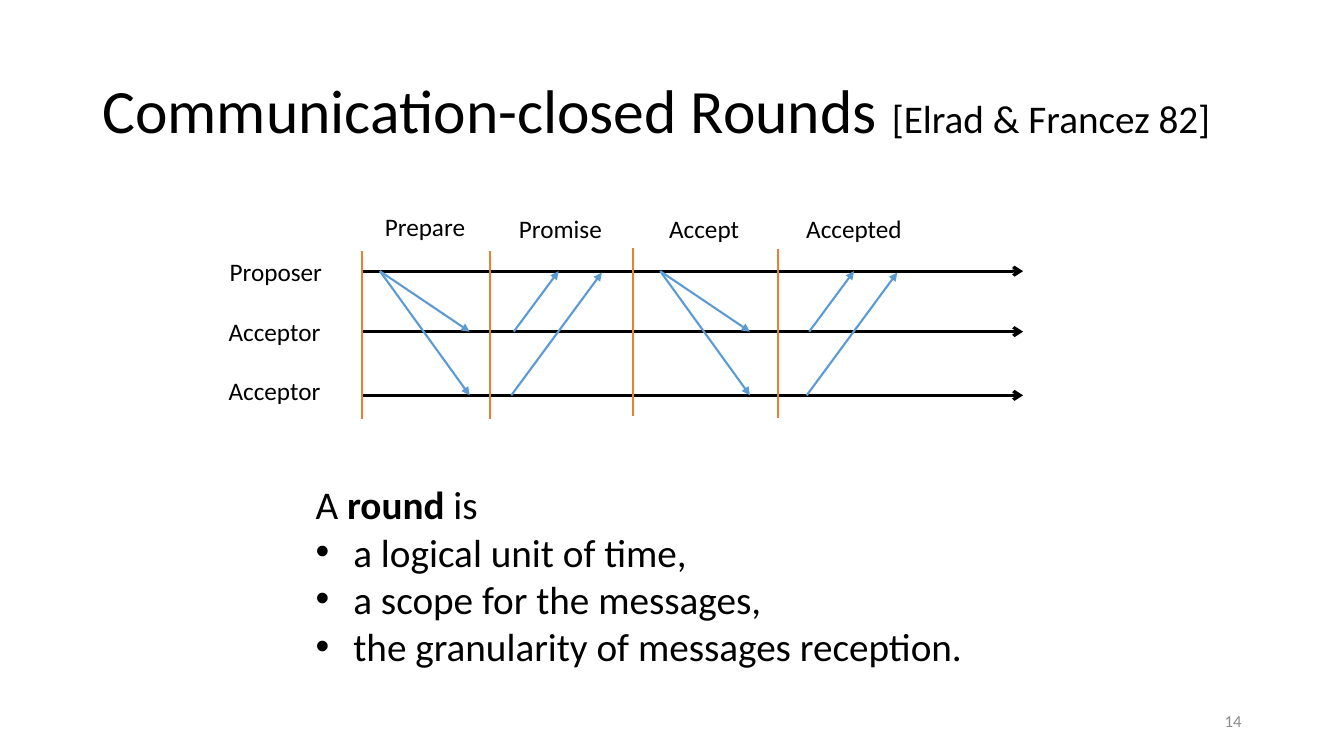
from lxml import etree
from pptx import Presentation
from pptx.dml.color import RGBColor
from pptx.enum import text as txt
from pptx.oxml import ns
from pptx.util import Pt

BLACK, BLUE, ORANGE, GREY = "000000", "5B9BD5", "ED7D31", "8C8C8C"
FONT = "Calibri"
TIME_START, TIME_END = 258.5, 730.8
PROPOSER, ACCEPTOR_1, ACCEPTOR_2 = 193.7, 236.9, 282.4
LABEL_HEIGHT = 29

PROCESSES = [  # name, label left, top and width, height of the time line
    ("Proposer", 157, 179.3, 81.4, PROPOSER),
    ("Acceptor", 156.2, 222.5, 80.6, ACCEPTOR_1),
    ("Acceptor", 156.2, 264.2, 80.6, ACCEPTOR_2),
]
ROUNDS = [  # name, label left, top and width, left and top of the boundary
    ("Prepare", 267.8, 147.6, 72.7, TIME_START, 179.3),
    ("Promise", 363.6, 148.7, 74.2, 349.9, 179.3),
    ("Accept", 470.9, 149, 64.8, 452.2, 177.1),
    ("Accepted", 568.8, 148.7, 83.5, 555.8, 178.2),
]
BOUNDARY_LENGTH = 120.2
REQUEST_STARTS = (271.4, 471.6)
REPLY_STARTS = (365.2, 576.2)
DEFINITION = ["a logical unit of time,", "a scope for the messages,",
              "the granularity of messages reception."]


def apply(target, formats):
    for name, value in formats.items():
        setattr(target, name, value)


def color(hex_string):
    return RGBColor.from_string(hex_string)


def place(shape, left, top, width, height):
    apply(shape, dict(left=Pt(left), top=Pt(top), width=Pt(width), height=Pt(height)))


def add_run(paragraph, words, size, bold=False, ink=BLACK):
    run = paragraph.add_run()
    run.text = words
    apply(run.font, dict(name=FONT, size=Pt(size), bold=bold))
    run.font.color.rgb = color(ink)


def add_label(slide, words, box, size=18, ink=BLACK, **alignment):
    label = slide.shapes.add_textbox(*map(Pt, box))
    frame = label.text_frame
    frame.word_wrap = False
    apply(frame.paragraphs[0], alignment)
    add_run(frame.paragraphs[0], words, size, ink=ink)
    return frame


def add_line(slide, start, end, ink, width, arrowhead=None):
    line = slide.shapes.add_connector(1, *map(Pt, start + end))
    line.line.color.rgb = color(ink)
    line.line.width = Pt(width)
    properties = line._element.spPr
    if arrowhead:
        outline = properties.find(ns.qn("a:ln"))
        etree.SubElement(outline, ns.qn("a:tailEnd"), type=arrowhead)
    etree.SubElement(properties, ns.qn("a:effectLst"))


def set_bullet(paragraph, indent=0, character=None):
    properties = paragraph._p.get_or_add_pPr()
    properties.set("marL", str(Pt(indent)))
    properties.set("indent", str(-Pt(indent)))
    if character:
        etree.SubElement(properties, ns.qn("a:buFont"), typeface="Arial")
        etree.SubElement(properties, ns.qn("a:buChar"), char=character)
    else:
        etree.SubElement(properties, ns.qn("a:buNone"))


def fill_title(title):
    place(title, 66, 28.8, 828, 104.4)
    apply(title.text_frame, dict(vertical_anchor=txt.MSO_ANCHOR.MIDDLE, word_wrap=True,
                                 auto_size=txt.MSO_AUTO_SIZE.NONE))
    heading = title.text_frame.paragraphs[0]
    apply(heading, dict(alignment=txt.PP_ALIGN.LEFT, line_spacing=0.9))
    add_run(heading, "Communication-closed Rounds ", 44)
    add_run(heading, "[Elrad & Francez 82]", 28)


def fill_definition(body):
    place(body, 218.2, 339.8, 485.3, 143.3)
    frame = body.text_frame
    apply(frame, dict(word_wrap=False, auto_size=txt.MSO_AUTO_SIZE.NONE,
                      vertical_anchor=txt.MSO_ANCHOR.TOP))
    lead = frame.paragraphs[0]
    lead.space_before = Pt(0)
    set_bullet(lead)
    for words, bold in (("A ", False), ("round", True), (" is", False)):
        add_run(lead, words, 28, bold)
    for words in DEFINITION:
        item = frame.add_paragraph()
        item.space_before = Pt(0)
        set_bullet(item, 27, "•")
        add_run(item, words, 28)


def draw_messages(slide):
    """Each request goes from the proposer to both acceptors, each reply goes back."""
    messages = []
    for x in REQUEST_STARTS:
        messages += [((x, PROPOSER), (x + 64.1, row)) for row in (ACCEPTOR_1, ACCEPTOR_2)]
    for x in REPLY_STARTS:
        messages += [((x + 1.8, ACCEPTOR_1), (x + 33.8, PROPOSER)),
                     ((x, ACCEPTOR_2), (x + 64.7, PROPOSER + 1))]
    for start, end in messages:
        add_line(slide, start, end, BLUE, 1.5, "triangle")


def main():
    deck = Presentation()
    apply(deck, dict(slide_width=Pt(960), slide_height=Pt(540)))
    slide = deck.slides.add_slide(deck.slide_layouts[1])
    fill_title(slide.shapes.title)
    fill_definition(slide.placeholders[1])

    for name, left, top, width, row in PROCESSES:
        add_line(slide, (TIME_START, row), (TIME_END, row), BLACK, 2.25, "arrow")
        add_label(slide, name, (left, top, width, LABEL_HEIGHT))
    draw_messages(slide)
    for name, left, top, width, x, y in ROUNDS:
        add_label(slide, name, (left, top, width, LABEL_HEIGHT))
        add_line(slide, (x, y), (x, y + BOUNDARY_LENGTH), ORANGE, 1.5)

    number = add_label(slide, "14", (678, 500.5, 216, 28.8), 12, GREY,
                       alignment=txt.PP_ALIGN.RIGHT)
    apply(number, dict(word_wrap=True, vertical_anchor=txt.MSO_ANCHOR.MIDDLE))
    deck.save("out.pptx")


if __name__ == "__main__":
    main()
